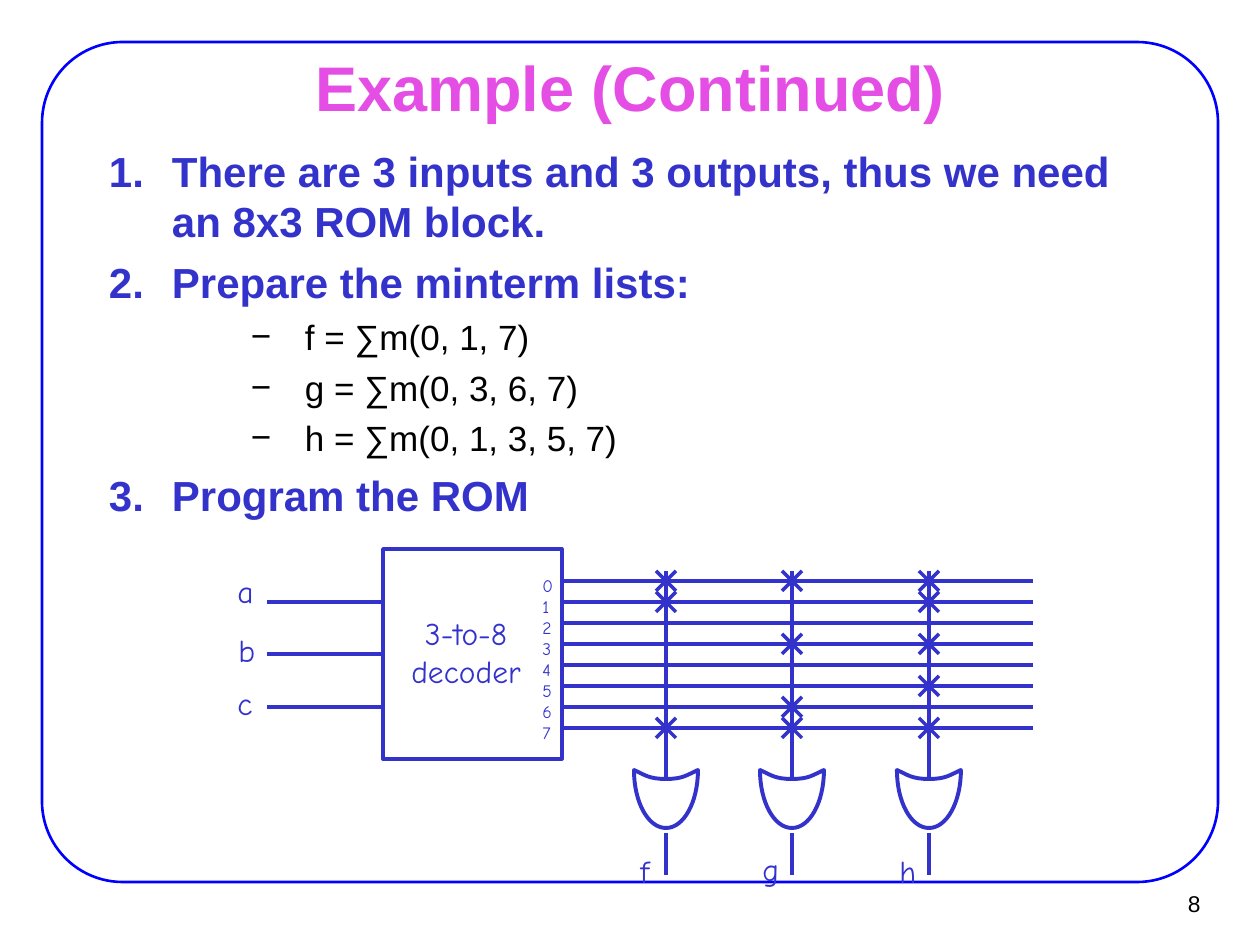
from dataclasses import dataclass

from lxml.etree import SubElement
from pptx import Presentation
from pptx.dml.color import RGBColor
from pptx.enum.shapes import MSO_CONNECTOR, MSO_SHAPE
from pptx.enum.text import MSO_ANCHOR, MSO_AUTO_SIZE, PP_ALIGN
from pptx.oxml.ns import qn
from pptx.util import Emu, Pt

SCALE = 914400 / 126
BLUE, BLACK, PINK = "3333CC", "000000", "E44EE4"
HAND = "Comic Neue"
ROW_TOP, ROW_GAP, ROWS = 581, 21, 8


@dataclass
class Item:
    text: str
    number: int = 0  # 0 marks a dashed sub-item


@dataclass
class Input:
    name: str
    y: int
    left: int
    top: int


@dataclass
class Output:
    name: str
    x: int
    terms: tuple
    left: int
    top: int


ITEMS = [
    Item("There are 3 inputs and 3 outputs, thus we need an 8x3 ROM block.", 1),
    Item("Prepare the minterm lists:", 2),
    Item("f = ∑m(0, 1, 7)"),
    Item("g = ∑m(0, 3, 6, 7)"),
    Item("h = ∑m(0, 1, 3, 5, 7)"),
    Item("Program the ROM", 3),
]
INPUTS = [Input("a", 602, 225, 566), Input("b", 654, 226, 625), Input("c", 707, 225, 678)]
OUTPUTS = [
    Output("f", 666, (0, 1, 7), 628, 846),
    Output("g", 792, (0, 3, 6, 7), 750, 844),
    Output("h", 929, (0, 1, 3, 5, 7), 887, 846),
]


def px(value: float) -> Emu:
    return Emu(round(value * SCALE))


def color(code: str) -> RGBColor:
    return RGBColor.from_string(code)


def style(para, text: str, size: int, ink: str = BLUE, font: str = HAND,
          bold: bool = False, align=PP_ALIGN.LEFT) -> None:
    """Add text to a paragraph; a vertical tab breaks the line."""
    para.alignment = align
    for i, part in enumerate(text.split("\v")):
        if i:
            para.add_line_break()
        run = para.add_run()
        run.text = part
        run.font.size, run.font.name, run.font.bold = Pt(size), font, bold
        run.font.color.rgb = color(ink)


def label(slide, text: str, left: int, top: int, width: int, height: int,
          size: int = 18, **look) -> None:
    frame = slide.shapes.add_textbox(px(left), px(top), px(width), px(height)).text_frame
    frame.word_wrap = False
    for i, line in enumerate(text.split("\n")):
        para = frame.add_paragraph() if i else frame.paragraphs[0]
        style(para, line, size, **look)


def outline(shape, ink: str, width: float) -> None:
    shape.shadow.inherit = False
    shape.fill.background()
    shape.line.color.rgb = color(ink)
    shape.line.width = Pt(width)


def wire(slide, x1: int, y1: int, x2: int, y2: int):
    line = slide.shapes.add_connector(MSO_CONNECTOR.STRAIGHT, px(x1), px(y1), px(x2), px(y2))
    line.line.color.rgb = color(BLUE)
    line.line.width = Pt(2)
    SubElement(line._element.spPr, qn("a:effectLst"))
    return line


def cross(slide, x: int, y: int) -> None:
    wire(slide, x - 10, y - 10, x + 10, y + 10)
    wire(slide, x + 10, y - 10, x - 10, y + 10)


def bend(shape) -> None:
    """Turn each three line segments of a freeform into one cubic curve."""
    lines = list(shape._element.iter(qn("a:lnTo")))
    for i in range(0, len(lines), 3):
        first, *rest = lines[i:i + 3]
        first.tag = qn("a:cubicBezTo")
        for line in rest:
            first.append(line[0])
            line.getparent().remove(line)


def gate(slide, x: int) -> None:
    """OR gate facing down, centred on its wire."""
    dots = [(21, 775), (17, 779), (0, 779), (-17, 779), (-21, 775), (-32, 770),
            (-32, 802), (-18, 828), (0, 828), (18, 828), (32, 802), (32, 770)]
    pen = slide.shapes.build_freeform(px(x + 32), px(770), scale=1.0)
    pen.add_line_segments([(px(x + dx), px(y)) for dx, y in dots], close=True)
    shape = pen.convert_to_shape()
    bend(shape)
    outline(shape, BLUE, 2.25)


def bullet(para, item: Item) -> None:
    props = para._p.get_or_add_pPr()
    margin, hang = (63, 63) if item.number else (196, 54)
    props.set("marL", str(px(margin)))
    props.set("indent", str(-px(hang)))
    tint = SubElement(props, qn("a:buClr"))
    SubElement(tint, qn("a:srgbClr"), val=BLUE if item.number else BLACK)
    SubElement(props, qn("a:buFont"), typeface="Arial")
    if item.number:
        SubElement(props, qn("a:buAutoNum"), type="arabicPeriod", startAt=str(item.number))
    else:
        SubElement(props, qn("a:buChar"), char="−")


def body(slide) -> None:
    frame = slide.shapes.add_textbox(px(95), px(138), px(1071), px(738)).text_frame
    frame.word_wrap = True
    frame.margin_left = frame.margin_right = px(14)
    frame.margin_top = frame.margin_bottom = px(7)
    for i, item in enumerate(ITEMS):
        para = frame.add_paragraph() if i else frame.paragraphs[0]
        main = item.number > 0
        style(para, item.text, 24 if main else 20, BLUE if main else BLACK, "Arial", main)
        para.space_before = Pt(6 if main else 5)
        bullet(para, item)


def heading(slide) -> None:
    title = slide.shapes.title
    title.left, title.top, title.width, title.height = px(95), px(55), px(1071), px(62)
    frame = title.text_frame
    frame.auto_size = MSO_AUTO_SIZE.NONE
    frame.vertical_anchor = MSO_ANCHOR.MIDDLE
    style(frame.paragraphs[0], "Example (Continued)", 36, PINK, "Arial", True, PP_ALIGN.CENTER)


def circuit(slide) -> None:
    # Decoder and its inputs
    box = slide.shapes.add_shape(MSO_SHAPE.RECTANGLE, px(383), px(549), px(179), px(210))
    outline(box, BLUE, 2)
    label(slide, "3-to-8\vdecoder", 391, 608, 150, 88, align=PP_ALIGN.CENTER)
    for pin in INPUTS:
        line = wire(slide, 383, pin.y, 267, pin.y)
        if pin.y == 654:
            line.begin_connect(box, 1)
        label(slide, pin.name, pin.left, pin.top, 42, 50)

    # Word lines
    label(slide, "\n".join(str(i) for i in range(ROWS)), 530, 569, 35, 181, size=10)
    for row in range(ROWS):
        y = ROW_TOP + row * ROW_GAP
        wire(slide, 1033, y, 562, y)

    # Output columns with their programmed points
    for out in OUTPUTS:
        wire(slide, out.x, 780, out.x, 571)
        gate(slide, out.x)
        wire(slide, out.x, 833, out.x, 875)
        label(slide, out.name, out.left, out.top, 34 if out.name == "f" else 42, 50)
        for term in out.terms:
            cross(slide, out.x, ROW_TOP + term * ROW_GAP)


def main() -> None:
    deck = Presentation()
    deck.slide_width, deck.slide_height = px(1260), px(945)
    slide = deck.slides.add_slide(deck.slide_layouts[5])

    # Border, page number and text
    border = slide.shapes.add_shape(MSO_SHAPE.ROUNDED_RECTANGLE, px(42), px(42), px(1176), px(840))
    border.adjustments[0] = 0.096
    outline(border, "0000FF", 1.5)
    label(slide, "8", 1136, 884, 77, 46, size=13, ink=BLACK, font="Arial", align=PP_ALIGN.RIGHT)
    heading(slide)
    body(slide)
    circuit(slide)
    deck.save("out.pptx")


if __name__ == "__main__":
    main()
